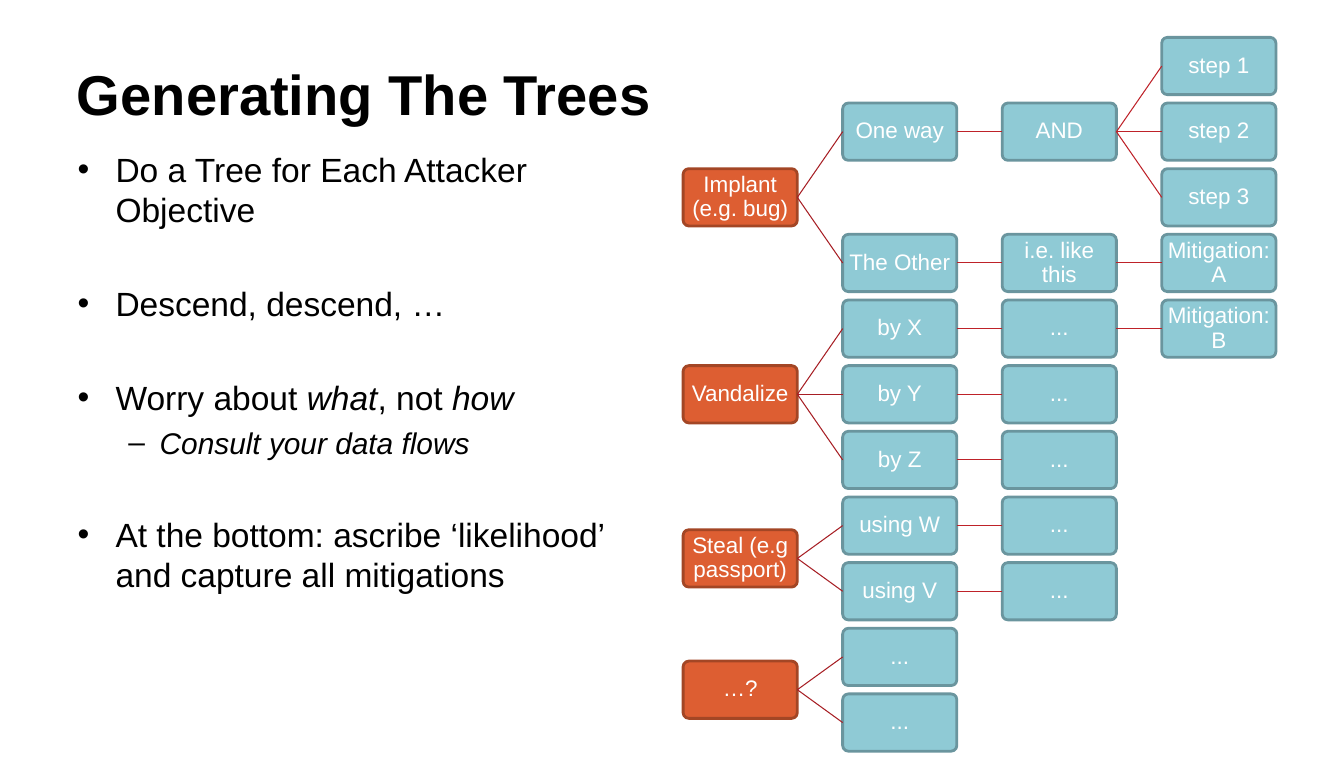
import pptx
import pptx.util
import pptx.dml.color
import pptx.enum.shapes
import pptx.enum.text
import pptx.oxml

Cm = pptx.util.Cm
Pt = pptx.util.Pt
RGB = pptx.dml.color.RGBColor
Text = pptx.enum.text

TITLE = "Generating The Trees"
LIST = [
    (0, 0, [("Do a Tree for Each Attacker Objective", False)]),
    (0, 38, [("Descend, descend, …", False)]),
    (0, 38, [("Worry about ", False), ("what", True),
             (", not ", False), ("how", True)]),
    (1, 5, [("Consult your data flows", True)]),
    (0, 38, [("At the bottom: ascribe ‘likelihood’ and capture all mitigations",
              False)]),
]
DOTS = ("...", [])
TREES = [
    ("Implant (e.g. bug)", [
        ("One way", [("AND", [("step 1", []), ("step 2", []), ("step 3", [])])]),
        ("The Other", [("i.e. like this", [("Mitigation: A", [])])]),
    ]),
    ("Vandalize", [
        ("by X", [("...", [("Mitigation: B", [])])]),
        ("by Y", [DOTS]),
        ("by Z", [DOTS]),
    ]),
    ("Steal (e.g passport)", [("using W", [DOTS]), ("using V", [DOTS])]),
    ("…?", [DOTS, DOTS]),
]

FONT = "Arial"
BLACK = RGB(0x00, 0x00, 0x00)
WHITE = RGB(0xFF, 0xFF, 0xFF)
ROOT = (RGB(0xDD, 0x5E, 0x32), RGB(0xA3, 0x46, 0x25), RGB(0xA7, 0x1E, 0x24))
NODE = (RGB(0x8F, 0xCA, 0xD5), RGB(0x6A, 0x95, 0x9E), RGB(0xBE, 0x22, 0x29))

LEVELS = [(23.9, 28.8, 0.95, -0.95), (21.3, 25.7, 2.06, -0.79)]
LEFT, TOP = 17.17, 0.94
WIDE, HIGH = 2.87, 1.44
COL, ROW = 4.01, 1.65


def add_run(para, text, size, color, bold=False, slant=False):
    run = para.add_run()
    run.text = text
    font = run.font
    font.name, font.size = FONT, Pt(size)
    font.bold, font.italic = bold, slant
    font.color.rgb = color


def move(shape, left, top, width, height):
    shape.left, shape.top = Cm(left), Cm(top)
    shape.width, shape.height = Cm(width), Cm(height)


def add_title(slide):
    title = slide.shapes.title
    move(title, 1.68, 0.76, 30.4, 3.18)
    frame = title.text_frame
    frame.auto_size = Text.MSO_AUTO_SIZE.NONE
    frame.vertical_anchor = Text.MSO_ANCHOR.MIDDLE
    para = frame.paragraphs[0]
    para.alignment = Text.PP_ALIGN.LEFT
    add_run(para, TITLE, 40, BLACK, bold=True)


def add_list(slide):
    body = slide.placeholders[1]
    move(body, 1.7, 3.61, 14.94, 13.41)
    frame = body.text_frame
    frame.auto_size = Text.MSO_AUTO_SIZE.NONE
    for index, (level, gap, runs) in enumerate(LIST):
        para = frame.paragraphs[0] if index == 0 else frame.add_paragraph()
        size, pitch, margin, hang = LEVELS[level]
        para.level = level
        para.space_before, para.line_spacing = Pt(gap), Pt(pitch)
        props = para._p.get_or_add_pPr()
        props.set("marL", str(Cm(margin)))
        props.set("indent", str(Cm(hang)))
        for text, slant in runs:
            add_run(para, text, size, BLACK, slant=slant)


def add_box(slide, text, depth, row):
    fill, edge, _ = NODE if depth else ROOT
    box = slide.shapes.add_shape(
        pptx.enum.shapes.MSO_SHAPE.ROUNDED_RECTANGLE,
        Cm(LEFT + depth * COL), Cm(TOP + row * ROW), Cm(WIDE), Cm(HIGH))
    box.adjustments[0] = 0.1
    box.shadow.inherit = False
    box.fill.solid()
    box.fill.fore_color.rgb = fill
    box.line.color.rgb = edge
    box.line.width = Pt(2)
    frame = box.text_frame
    frame.word_wrap = True
    frame.vertical_anchor = Text.MSO_ANCHOR.MIDDLE
    frame.margin_left = frame.margin_right = Cm(0.07)
    frame.margin_top = frame.margin_bottom = Cm(0.07)
    para = frame.paragraphs[0]
    para.alignment = Text.PP_ALIGN.CENTER
    para.line_spacing = 0.9
    add_run(para, text, 16, WHITE)
    return box


def add_link(slide, start, end, color):
    link = slide.shapes.add_connector(
        pptx.enum.shapes.MSO_CONNECTOR.STRAIGHT, 0, 0, 0, 0)
    link.begin_connect(start, 3)
    link.end_connect(end, 1)
    link.line.color.rgb = color
    link.line.width = Pt(0.75)
    link._element.spPr.append(pptx.oxml.parse_xml(
        '<a:effectLst xmlns:a='
        '"http://schemas.openxmlformats.org/drawingml/2006/main"/>'))


def add_tree(slide, tree, depth, first):
    text, kids = tree
    boxes, rows, free = [], [], first
    for kid in kids:
        box, row, free = add_tree(slide, kid, depth + 1, free)
        boxes.append(box)
        rows.append(row)
    row = (rows[0] + rows[-1]) / 2 if rows else first
    top = add_box(slide, text, depth, row)
    for box in boxes:
        add_link(slide, top, box, (NODE if depth else ROOT)[2])
    return top, row, max(free, first + 1)


def main():
    deck = pptx.Presentation()
    deck.slide_width, deck.slide_height = Cm(33.78), Cm(19.05)
    slide = deck.slides.add_slide(deck.slide_layouts[1])
    add_list(slide)
    add_title(slide)
    free = 0
    for tree in TREES:
        _, _, free = add_tree(slide, tree, 0, free)
    deck.save("out.pptx")


if __name__ == "__main__":
    main()
